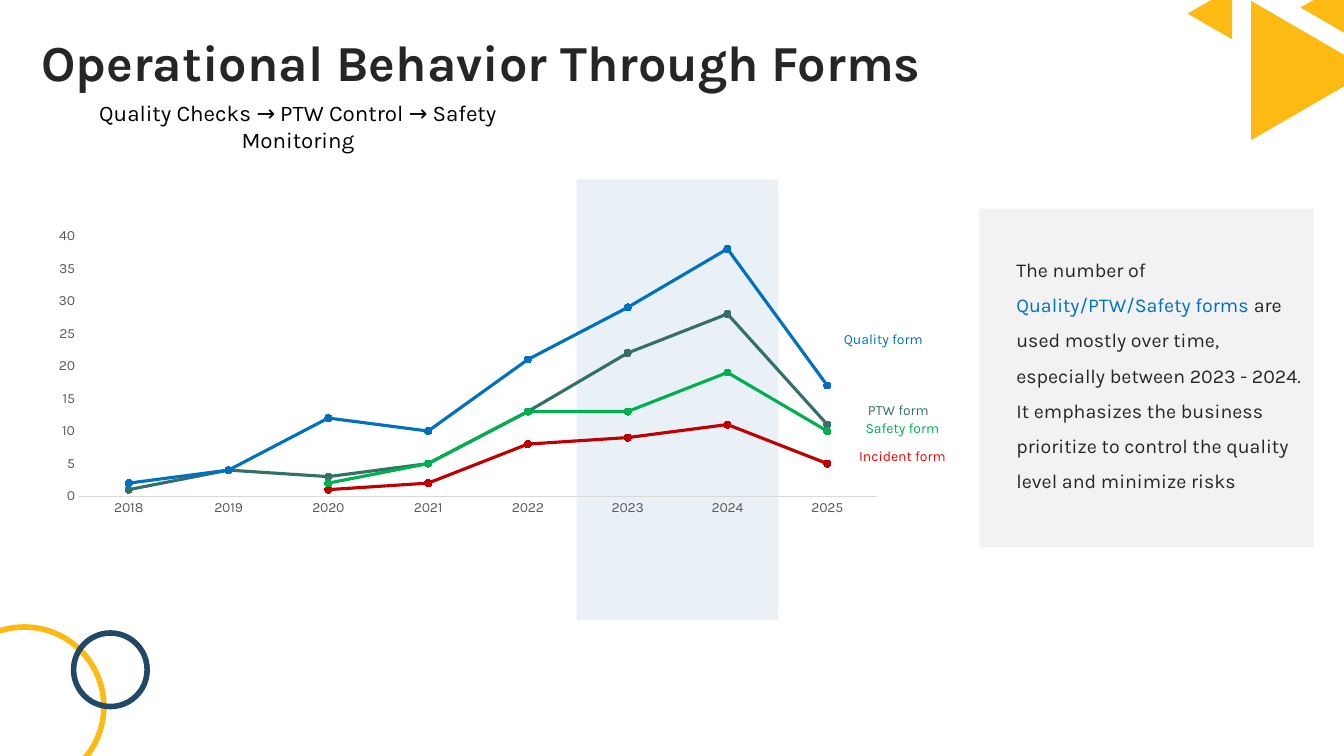
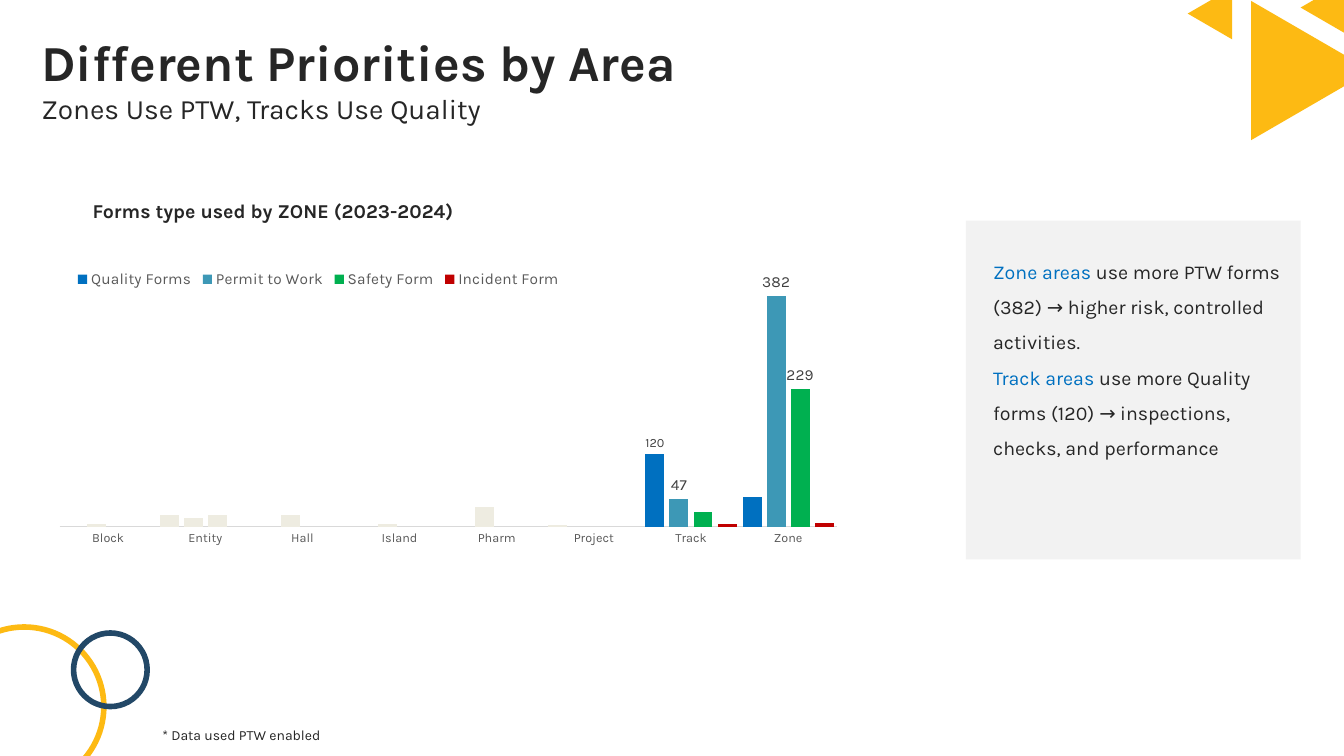
from pptx import Presentation
from pptx.chart.data import CategoryChartData
from pptx.dml.color import RGBColor
from pptx.enum.chart import XL_CHART_TYPE, XL_LABEL_POSITION, XL_LEGEND_POSITION, XL_MARKER_STYLE, XL_TICK_MARK
from pptx.enum.shapes import MSO_SHAPE
from pptx.enum.text import PP_ALIGN
from pptx.oxml import parse_xml
from pptx.oxml.ns import nsdecls, qn
from pptx.util import Inches, Pt

LINE, COLUMN = XL_CHART_TYPE.LINE_MARKERS, XL_CHART_TYPE.COLUMN_CLUSTERED
CIRCLE = XL_MARKER_STYLE.CIRCLE
NO_TICK = XL_TICK_MARK.NONE
LEGEND_BOTTOM = XL_LEGEND_POSITION.BOTTOM
LABEL_ABOVE = XL_LABEL_POSITION.OUTSIDE_END
RECT, OVAL = MSO_SHAPE.RECTANGLE, MSO_SHAPE.OVAL
LEFT, CENTER = PP_ALIGN.LEFT, PP_ALIGN.CENTER

FONT = "Karla"
INK, BLACK, GREY, RULE = "262626", "000000", "595959", "D9D9D9"
GOLD, NAVY, PANEL, BAND, MUTED = "FDBA13", "224867", "F2F2F2", "C7DCEC", "EEECE1"
BLUE, TEAL, CYAN, GREEN, DARK_RED, RED = "0070C0", "347069", "3D98B6", "00B050", "C00000", "FF0000"


def rgb(color):
    return RGBColor.from_string(color)


def paint(fill, color):
    fill.solid()
    fill.fore_color.rgb = rgb(color)


def set_font(font, size, color, bold=False):
    font.name, font.size, font.bold = FONT, Pt(size), bold
    font.color.rgb = rgb(color)


def add_text(s, box, paragraphs, size, color=INK, bold=False, align=LEFT, spacing=None):
    tf = s.shapes.add_textbox(*map(Inches, box)).text_frame
    tf.word_wrap = True
    tf.margin_left = tf.margin_top = tf.margin_right = tf.margin_bottom = 0
    for i, runs in enumerate(paragraphs):
        p = tf.paragraphs[0] if i == 0 else tf.add_paragraph()
        p.alignment = align
        if spacing:
            p.line_spacing = spacing
        set_font(p.font, size, color, bold)
        for text, run_color in runs:
            r = p.add_run()
            r.text = text
            if run_color != color:
                r.font.color.rgb = rgb(run_color)
    return tf


def add_rect(s, box, color):
    sp = s.shapes.add_shape(RECT, *map(Inches, box))
    sp.shadow.inherit = False
    paint(sp.fill, color)
    sp.line.fill.background()
    return sp


def add_ring(s, x, y, size, color):
    sp = s.shapes.add_shape(OVAL, *map(Inches, (x, y, size, size)))
    sp.shadow.inherit = False
    sp.fill.background()
    sp.line.color.rgb = rgb(color)
    sp.line.width = Pt(4)


def add_triangle(s, tip_x, base_x, y, height):
    points = [(tip_x, y + height / 2), (base_x, y + height), (base_x, y)]
    corners = [(Inches(px), Inches(py)) for px, py in points]
    builder = s.shapes.build_freeform(*corners[0])
    builder.add_line_segments(corners[1:], close=True)
    sp = builder.convert_to_shape()
    sp.shadow.inherit = False
    paint(sp.fill, GOLD)
    sp.line.fill.background()


def new_slide(prs, title, subtitle=None):
    s = prs.slides.add_slide(prs.slide_layouts[6])
    tf = add_text(s, (0.41, 0.31, 12, 0.92), [[(title, INK)]], 36, bold=True)
    if subtitle:
        p = tf.add_paragraph()
        p.text = subtitle
        set_font(p.font, 20, INK)
    add_ring(s, -0.55, 6.22, 1.58, GOLD)
    add_ring(s, 0.73, 6.28, 0.73, NAVY)
    add_triangle(s, 13.6, 12.41, 0.01, 1.38)
    for x in (12.9, 11.78):
        y = -0.18 if x > 12 else -0.12
        add_triangle(s, x, x + 0.44, y, 0.51)
    return s


def add_panel(s, x, y, pad, paragraphs):
    add_rect(s, (x, y, 3.32, 3.36), PANEL)
    add_text(s, (x + pad, y + pad, 2.92, 2.83), paragraphs, 14, spacing=1.5)


def place(parent, index, x, y, w, h, inner=False):
    for old in parent.findall(qn("c:layout")):
        parent.remove(old)
    target = '<c:layoutTarget val="inner"/>' if inner else ""
    parent.insert(index, parse_xml(
        f'<c:layout {nsdecls("c")}><c:manualLayout>{target}'
        '<c:xMode val="edge"/><c:yMode val="edge"/>'
        f'<c:x val="{x}"/><c:y val="{y}"/><c:w val="{w}"/><c:h val="{h}"/>'
        '</c:manualLayout></c:layout>'))


def add_chart(s, kind, box, plot_box, cats, series, axis_max, cat_size):
    data = CategoryChartData()
    data.categories = cats
    for name, values, _ in series:
        data.add_series(name, values)
    chart = s.shapes.add_chart(kind, *map(Inches, box), data).chart
    chart.has_title = chart.has_legend = False
    set_font(chart.font, 10, BLACK)
    place(chart._chartSpace.chart.plotArea, 0, *plot_box, inner=True)
    cat, val = chart.category_axis, chart.value_axis
    for axis, size in ((cat, cat_size), (val, 10)):
        axis.has_major_gridlines = False
        axis.major_tick_mark = axis.minor_tick_mark = NO_TICK
        set_font(axis.tick_labels.font, size, GREY)
    cat.format.line.color.rgb = rgb(RULE)
    cat.format.line.width = Pt(0.75)
    val.format.line.fill.background()
    val.minimum_scale, val.maximum_scale = 0, axis_max
    chart.plots[0].vary_by_categories = False
    return chart


def add_trend(s, x, y):
    band = add_rect(s, (x + 5.31, y - 0.42, 2, 4.37), BAND)
    tint = band.fill._xPr.find(qn("a:solidFill"))[0]
    tint.append(parse_xml(f'<a:alpha {nsdecls("a")} val="38000"/>'))
    series = [
        ("Series 1", (None, None, 1, 2, 8, 9, 11, 5), DARK_RED),
        ("Series 2", (1, 4, 3, 5, 13, 22, 28, 11), TEAL),
        ("Series 3", (2, 4, 12, 10, 21, 29, 38, 17), BLUE),
        ("Series 4", (None, None, 2, 5, 13, 13, 19, 10), GREEN),
    ]
    years = [str(year) for year in range(2018, 2026)]
    chart = add_chart(s, LINE, (x, y, 8.46, 2.98), (0.044, 0.047, 0.936, 0.867),
                      years, series, 40, 10)
    chart.value_axis.major_unit = 5
    for ser, (_, _, color) in zip(chart.plots[0].series, series):
        ser.smooth = False
        ser.format.line.color.rgb = rgb(color)
        ser.format.line.width = Pt(2.25)
        ser.marker.style, ser.marker.size = CIRCLE, 5
        paint(ser.marker.format.fill, color)
        ser.marker.format.line.color.rgb = rgb(color)
    for text, color, dx, dy in (
        ("Quality form", BLUE, 7.7, 1.08),
        ("PTW form", TEAL, 7.85, 1.78),
        ("Safety form", GREEN, 7.89, 1.96),
        ("Incident form", RED, 7.89, 2.24),
    ):
        add_text(s, (x + dx, y + dy, 1.3, 0.31), [[(text, color)]], 10, color, align=CENTER)


def add_area_columns(s, x, y):
    areas = ["Block", "Entity", "Hall", "Island", "Pharm", "Project", "Track", "Zone"]
    series = [
        ("Quality Forms", (None, 19, None, None, None, 4, 120, 49), BLUE),
        ("Permit to Work", (5, 14, 20, 5, 33, None, 47, 382), CYAN),
        ("Safety Form", (None, 20, None, None, None, None, 25, 229), GREEN),
        ("Incident Form", (None, None, None, None, None, None, 5, 7), DARK_RED),
    ]
    label_sizes = {120: 9, 47: 11, 382: 11, 229: 11}
    chart = add_chart(s, COLUMN, (x, y, 8.03, 3.36), (0.02, 0.11, 0.96, 0.714),
                      areas, series, 400, 9)
    chart.value_axis.visible = False
    plot = chart.plots[0]
    plot.gap_width, plot.overlap = 32, -27
    for ser, (_, values, color) in zip(plot.series, series):
        paint(ser.format.fill, color)
        ser.data_labels.show_value = False
        for i, value in enumerate(values):
            if value and areas[i] not in ("Track", "Zone"):
                paint(ser.points[i].format.fill, MUTED)
            if value in label_sizes:
                label = ser.points[i].data_label
                set_font(label.font, label_sizes[value], "404040")
                label.position = LABEL_ABOVE
    chart.has_legend = True
    legend = chart.legend
    legend.position, legend.include_in_layout = LEGEND_BOTTOM, False
    set_font(legend.font, 11, GREY)
    place(legend._element, 1, 0.035, 0.055, 0.61, 0.075)


def forms_slide(prs):
    s = new_slide(prs, "Operational Behavior Through Forms")
    add_trend(s, 0.41, 2.2)
    add_text(s, (0.41, 0.98, 5.09, 0.25),
             [[("Quality Checks → PTW Control → Safety Monitoring", BLACK)]],
             16, BLACK, align=CENTER)
    add_panel(s, 9.71, 2.07, 0.37, [[
        ("The number of ", INK),
        ("Quality/PTW/Safety forms ", BLUE),
        ("are used mostly over time, especially between 2023 - 2024. It emphasizes "
         "the business prioritize to control the quality level and minimize risks", INK),
    ]])


def areas_slide(prs):
    s = new_slide(prs, "Different Priorities by Area", "Zones Use PTW, Tracks Use Quality")
    add_panel(s, 9.58, 2.19, 0.27, [
        [("Zone areas ", BLUE),
         ("use more PTW forms (382) → higher risk, controlled activities.", INK)],
        [("Track areas ", BLUE),
         ("use more Quality forms (120) → inspections, checks, and performance", INK)],
    ])
    add_text(s, (0.92, 1.97, 4.53, 0.45),
             [[("Forms type used by ZONE (2023-2024)", INK)]], 14, bold=True)
    add_area_columns(s, 0.43, 2.46)
    add_text(s, (1.61, 7.21, 5.16, 0.29), [[("* Data used PTW enabled", INK)]], 10)


def main():
    prs = Presentation()
    prs.slide_width, prs.slide_height = Inches(13.33), Inches(7.5)
    forms_slide(prs)
    areas_slide(prs)
    prs.save("out.pptx")


if __name__ == "__main__":
    main()
